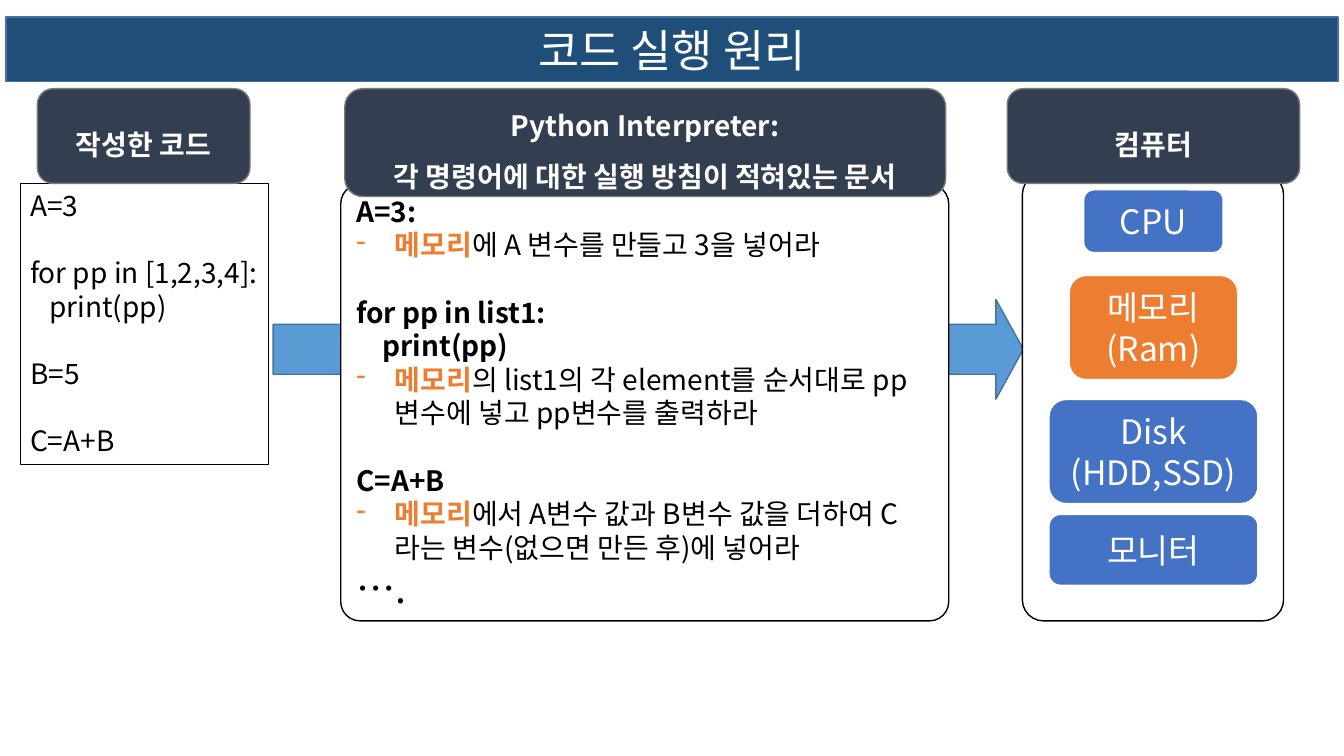
from dataclasses import dataclass
from lxml import etree
from pptx import Presentation
from pptx.dml.color import RGBColor
from pptx.enum.shapes import MSO_SHAPE
from pptx.enum.text import MSO_ANCHOR, MSO_AUTO_SIZE, PP_ALIGN
from pptx.oxml.ns import qn
from pptx.util import Inches, Pt

ROUND, ARROW = MSO_SHAPE.ROUNDED_RECTANGLE, MSO_SHAPE.RIGHT_ARROW
MID, TOP = MSO_ANCHOR.MIDDLE, MSO_ANCHOR.TOP
LEFT, CENTER = PP_ALIGN.LEFT, PP_ALIGN.CENTER
FIXED = MSO_AUTO_SIZE.NONE


@dataclass(frozen=True)
class Theme:
    font: str = "Noto Sans CJK KR"
    white: str = "FFFFFF"
    black: str = "000000"
    navy: str = "1F4E79"
    slate: str = "333F50"
    gray: str = "7A7A7A"
    sky: str = "5B9BD5"
    edge: str = "43739E"
    blue: str = "4472C4"
    orange: str = "ED7D31"
    title: int = 32
    label: int = 24
    body: int = 20
    dots: int = 28
    gap: int = 24


T = Theme()

TITLE = "코드 실행 원리"
BAR = (0.06, 0.17, 13.21, 0.64)
FLOW = (2.71, 2.97, 7.44, 0.99)
CODE_BOX = (0.2, 1.82, 2.46, 2.79)
PANELS = {"rules": ((3.38, 1.83, 6.03, 4.33), 0.044),
          "machine": ((10.14, 1.72, 2.59, 4.44), 0.081)}
HEADS = [
    (0.37, 2.11, 0.94, ["작성한 코드"]),
    (3.42, 5.96, 1.07, ["Python Interpreter:", "각 명령어에 대한 실행 방침이 적혀있는 문서"]),
    (9.99, 2.9, 0.94, ["컴퓨터"]),
]
HEAD_TOP = 0.88
CODE = [
    ("A=3", 0, False),
    ("for pp in [1,2,3,4]:", 0, True),
    ("print(pp)", 0.19, False),
    ("B=5", 0, True),
    ("C=A+B", 0, True),
]
MEMORY = "메모리"
RULES = [
    (["A=3:"], "에 A 변수를 만들고 3을 넣어라"),
    (["for pp in list1:", "print(pp)"],
     "의 list1의 각 element를 순서대로 pp변수에 넣고 pp변수를 출력하라"),
    (["C=A+B"], "에서 A변수 값과 B변수 값을 더하여 C라는 변수(없으면 만든 후)에 넣어라"),
]
MORE = "…."
NEST, HANG = 0.26, 0.38
AXIS = 11.44
UNITS = [
    (["CPU"], 1.88, 1.39, 0.63, T.blue),
    ([MEMORY, "(Ram)"], 2.73, 1.68, 1.04, T.orange),
    (["Disk", "(HDD,SSD)"], 3.96, 2.08, 1.04, T.blue),
    (["모니터"], 5.1, 2.08, 0.71, T.blue),
]


def rgb(code):
    return RGBColor.from_string(code)


def paint(shape, fill, line, width):
    if fill:
        shape.fill.solid()
        shape.fill.fore_color.rgb = rgb(fill)
    shape.line.color.rgb = rgb(line)
    shape.line.width = Pt(width)


def block(slide, kind, box, fill, line, width=1, adjust=()):
    shape = slide.shapes.add_shape(kind, *map(Inches, box))
    shape.shadow.inherit = False
    for i, value in enumerate(adjust):
        shape.adjustments[i] = value
    paint(shape, fill, line, width)
    return shape


def frame(shape, anchor=MID, wrap=True):
    text = shape.text_frame
    text.auto_size = FIXED
    text.word_wrap = wrap
    text.vertical_anchor = anchor
    return text


def line(text, runs, size, align=LEFT, indent=0, gap=False, spacing=None, bullet=None):
    first = text.paragraphs[0]
    para = text.add_paragraph() if first.runs else first
    para.alignment = align
    if spacing:
        para.line_spacing = spacing
    if gap:
        para.space_before = Pt(T.gap)
    props = para._p.get_or_add_pPr()
    if indent:
        props.set("marL", str(Inches(indent)))
    if bullet:
        props.set("indent", str(-Inches(indent)))
        etree.SubElement(props, qn("a:buChar")).set("char", bullet)
    for words, color, bold in runs:
        run = para.add_run()
        run.text = words
        font = run.font
        font.name, font.size, font.bold = T.font, Pt(size), bold
        font.color.rgb = rgb(color)
        etree.SubElement(run._r.get_or_add_rPr(), qn("a:ea")).set("typeface", T.font)


def add_title(slide):
    title = slide.shapes.title
    title.left, title.top, title.width, title.height = map(Inches, BAR)
    shape = etree.SubElement(title._element.spPr, qn("a:prstGeom"))
    shape.set("prst", "roundRect")
    etree.SubElement(shape, qn("a:avLst"))
    paint(title, T.navy, T.edge, 1)
    line(frame(title), [(TITLE, T.white, False)], T.title, CENTER)


def add_rules(panel):
    text = frame(panel)
    for i, (heads, rest) in enumerate(RULES):
        for j, head in enumerate(heads):
            line(text, [(head, T.black, True)], T.body,
                 indent=NEST * j, gap=i > 0 and j == 0)
        line(text, [(MEMORY, T.orange, True), (rest, T.black, False)], T.body,
             indent=HANG, bullet="-")
    line(text, [(MORE, T.black, False)], T.dots)


def add_units(slide):
    for names, top, width, height, fill in UNITS:
        box = (AXIS - width / 2, top, width, height)
        text = frame(block(slide, ROUND, box, fill, T.white, 1.5))
        for name in names:
            line(text, [(name, T.white, False)], T.label, CENTER)


def add_code(slide):
    box = slide.shapes.add_textbox(*map(Inches, CODE_BOX))
    paint(box, None, T.black, 0.75)
    text = frame(box, TOP, False)
    for words, indent, gap in CODE:
        line(text, [(words, T.black, False)], T.body, indent=indent, gap=gap)


def add_heads(slide):
    for left, width, height, names in HEADS:
        box = (left, HEAD_TOP, width, height)
        text = frame(block(slide, ROUND, box, T.slate, T.gray))
        for name in names:
            line(text, [(name, T.white, True)], T.body, CENTER, spacing=1.5)


def main():
    deck = Presentation()
    deck.slide_width, deck.slide_height = Inches(13.33), Inches(7.5)
    slide = deck.slides.add_slide(deck.slide_layouts[5])
    add_title(slide)
    block(slide, ARROW, FLOW, T.sky, T.edge, adjust=(0.5, 0.275))
    panels = {name: block(slide, ROUND, box, T.white, T.black, adjust=(curve,))
              for name, (box, curve) in PANELS.items()}
    add_rules(panels["rules"])
    add_units(slide)
    add_code(slide)
    add_heads(slide)
    deck.save("out.pptx")


if __name__ == "__main__":
    main()
